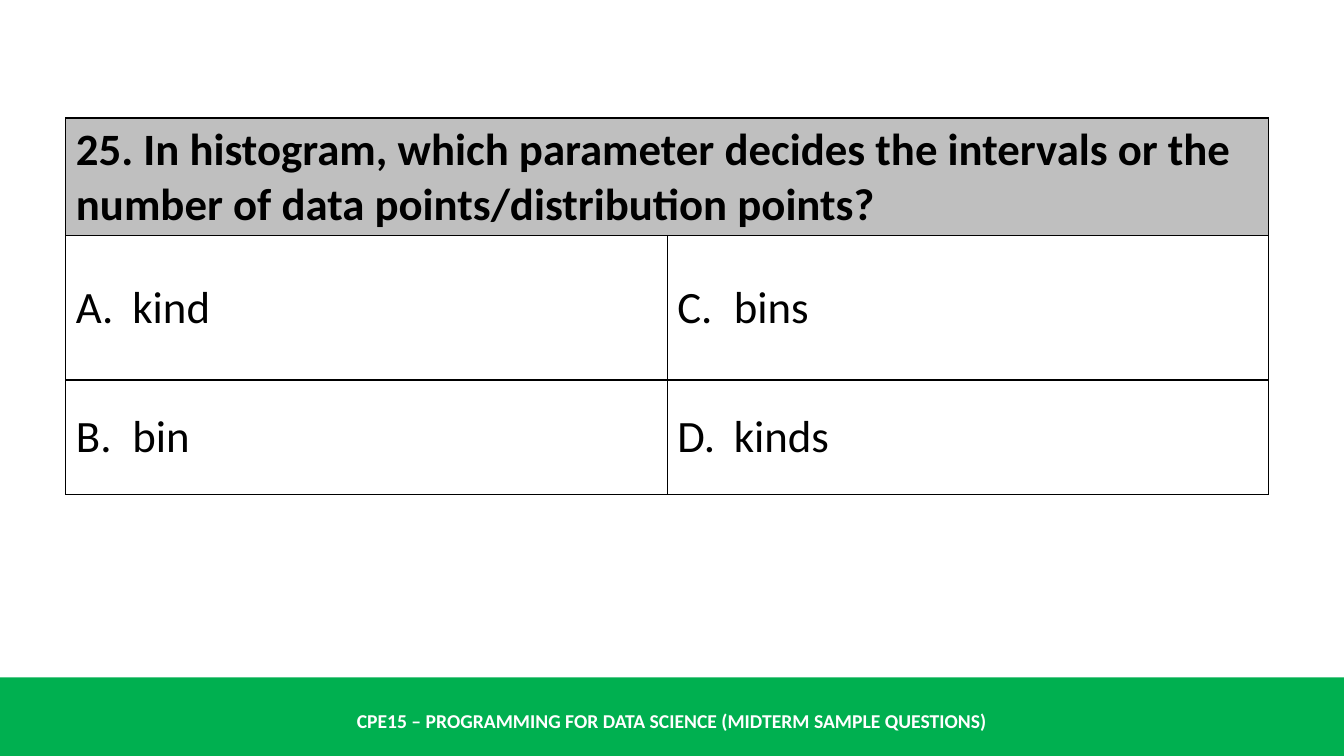
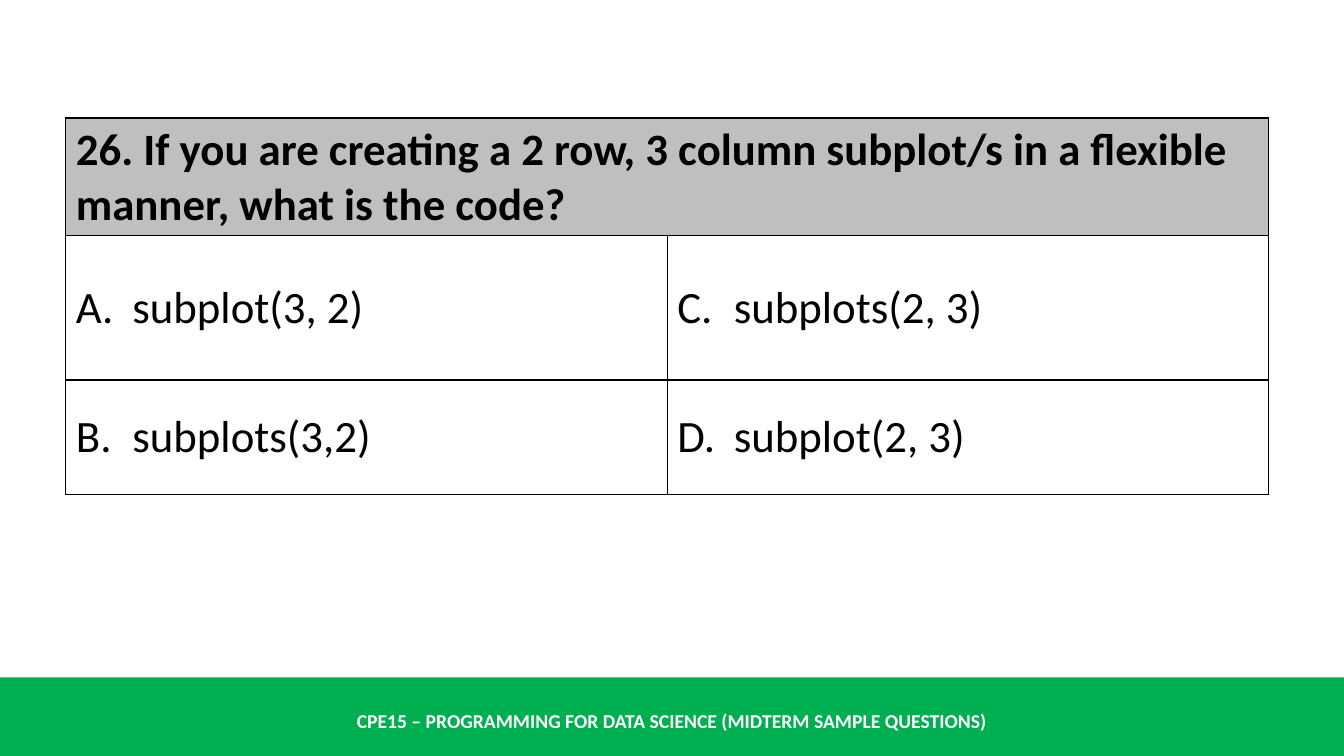
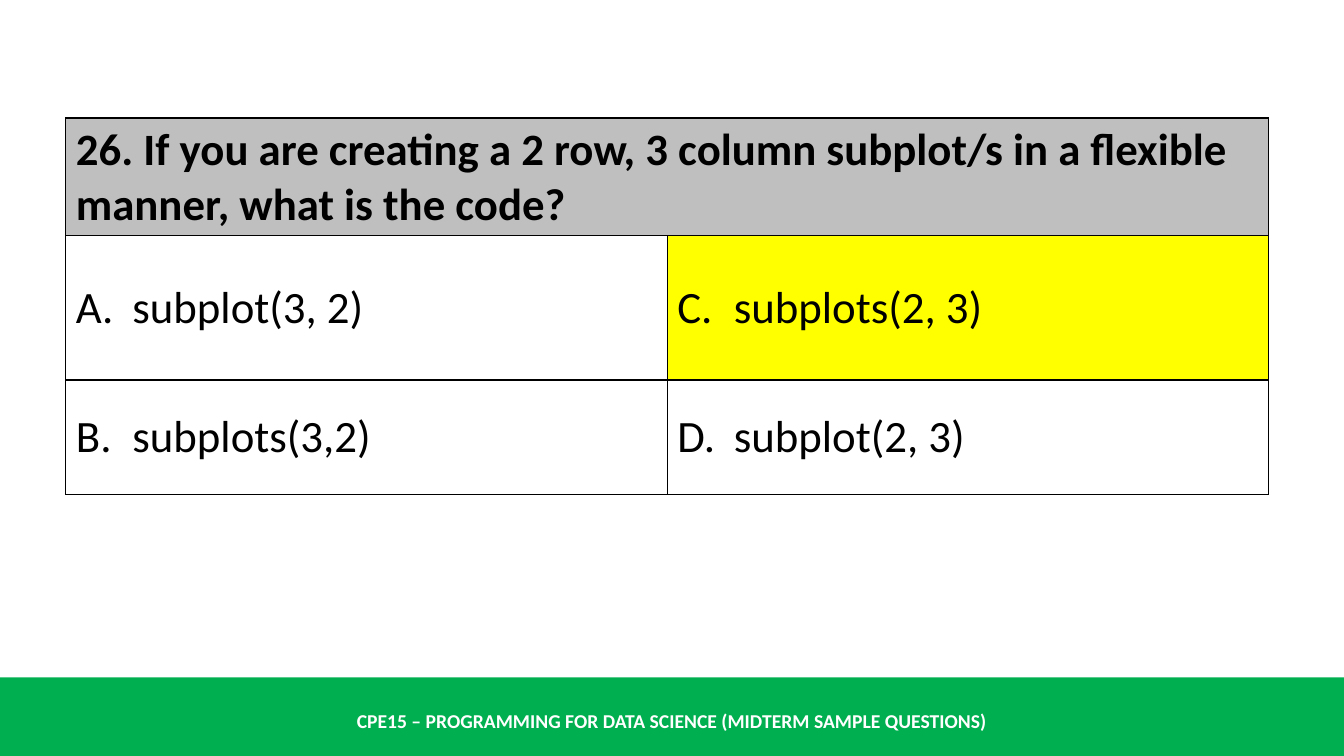
import dataclasses

import pptx
import pptx.dml.color
import pptx.enum.shapes
import pptx.enum.text
import pptx.oxml
import pptx.oxml.ns
import pptx.util
from lxml import etree


@dataclasses.dataclass(frozen=True)
class Theme:
    font: str = "Calibri"
    ink: str = "000000"
    paper: str = "FFFFFF"
    band: str = "00B050"
    question: str = "BFBFBF"
    correct: str = "FFFF00"
    quiz_size: int = 32
    footer_size: int = 14
    border: float = 1


THEME = Theme()
WIDTH, HEIGHT = pptx.util.Inches(13.33), pptx.util.Inches(7.5)
FOOTER = "CPE15 – PROGRAMMING FOR DATA SCIENCE (MIDTERM SAMPLE QUESTIONS)"
ANSWER_INDENT = pptx.util.Inches(0.56)
ROW_SHARES = (15.2, 19.1, 15.2)
SUBPLOT_QUESTION = (
    "26. If you are creating a 2 row, 3 column subplot/s in a flexible manner, what is the code?",
    ("subplot(3, 2)", "subplots(3,2)", "subplots(2, 3)", "subplot(2, 3)"),
)
# Each slide: question, answers A to D, letter of the highlighted answer
QUIZ = (
    ("25. In histogram, which parameter decides the intervals or the number of "
     "data points/distribution points?", ("kind", "bin", "bins", "kinds"), None),
    (*SUBPLOT_QUESTION, None),
    (*SUBPLOT_QUESTION, "C"),
)


def across(percent):
    return round(WIDTH * percent / 100)


def down(percent):
    return round(HEIGHT * percent / 100)


def rgb(color):
    return pptx.dml.color.RGBColor.from_string(color)


def add_xml(parent, tag, **attributes):
    return etree.SubElement(parent, pptx.oxml.ns.qn(tag), attributes)


def write(frame, text, size=THEME.quiz_size, color=THEME.ink, bold=False,
          align=pptx.enum.text.PP_ALIGN.LEFT, number=None):
    """Write one paragraph, lettered from A when a number is given."""
    paragraph = frame.paragraphs[0]
    paragraph.alignment = align
    if number:
        properties = paragraph._p.get_or_add_pPr()
        properties.set("marL", str(ANSWER_INDENT))
        properties.set("indent", str(-ANSWER_INDENT))
        add_xml(properties, "a:buFont", typeface="+mj-lt")
        add_xml(properties, "a:buAutoNum", type="alphaUcPeriod", startAt=str(number))
    run = paragraph.add_run()
    run.text = text
    run.font.name = THEME.font
    run.font.size = pptx.util.Pt(size)
    run.font.bold = bold
    run.font.color.rgb = rgb(color)


def style_cell(cell, fill):
    """Give a cell its borders, fill and vertical centring."""
    properties = cell._tc.get_or_add_tcPr()
    for side in ("a:lnL", "a:lnR", "a:lnT", "a:lnB"):
        line = add_xml(properties, side, w=str(pptx.util.Pt(THEME.border)))
        add_xml(add_xml(line, "a:solidFill"), "a:srgbClr", val=THEME.ink)
    cell.fill.solid()
    cell.fill.fore_color.rgb = rgb(fill)
    cell.vertical_anchor = pptx.enum.text.MSO_ANCHOR.MIDDLE


def add_footer(layout, slide):
    """Build the band and its caption, then hand them to the shared layout."""
    band = slide.shapes.add_shape(pptx.enum.shapes.MSO_SHAPE.RECTANGLE,
                                  0, down(89.6), WIDTH, down(10.4))
    band.shadow.inherit = False
    band.fill.solid()
    band.fill.fore_color.rgb = rgb(THEME.band)
    band.line.fill.background()

    caption = slide.shapes.add_textbox(0, down(92.7), WIDTH, down(5.3))
    caption.text_frame.word_wrap = True
    caption.text_frame.vertical_anchor = pptx.enum.text.MSO_ANCHOR.MIDDLE
    write(caption.text_frame, FOOTER, size=THEME.footer_size, color=THEME.paper,
          bold=True, align=pptx.enum.text.PP_ALIGN.CENTER)

    for placeholder in list(layout.placeholders):
        layout.shapes.element.remove(placeholder.element)
    for part in (band, caption):
        layout.shapes.element.append(part.element)


def add_question(slide, question, answers, correct):
    quiz = slide.shapes.add_table(3, 2, across(4.9), down(15.6), across(89.5),
                                  down(sum(ROW_SHARES))).table
    quiz.first_row = quiz.horz_banding = False
    for row, share in zip(quiz.rows, ROW_SHARES):
        row.height = down(share)

    # Question across both columns
    heading = quiz.cell(0, 0)
    heading.merge(quiz.cell(0, 1))
    for column in range(2):
        style_cell(quiz.cell(0, column), THEME.question)
    write(heading.text_frame, question, bold=True)

    # Answers run down the first column, then the second
    for index, (letter, answer) in enumerate(zip("ABCD", answers)):
        column, row = divmod(index, 2)
        choice = quiz.cell(row + 1, column)
        style_cell(choice, THEME.correct if letter == correct else THEME.paper)
        write(choice.text_frame, answer, number=index + 1)


def main():
    deck = pptx.Presentation()
    deck.slide_width, deck.slide_height = WIDTH, HEIGHT
    layout = deck.slide_layouts[6]
    slides = [deck.slides.add_slide(layout) for _ in QUIZ]
    add_footer(layout, slides[0])
    for slide, (question, answers, correct) in zip(slides, QUIZ):
        add_question(slide, question, answers, correct)
    deck.save("out.pptx")


if __name__ == "__main__":
    main()
